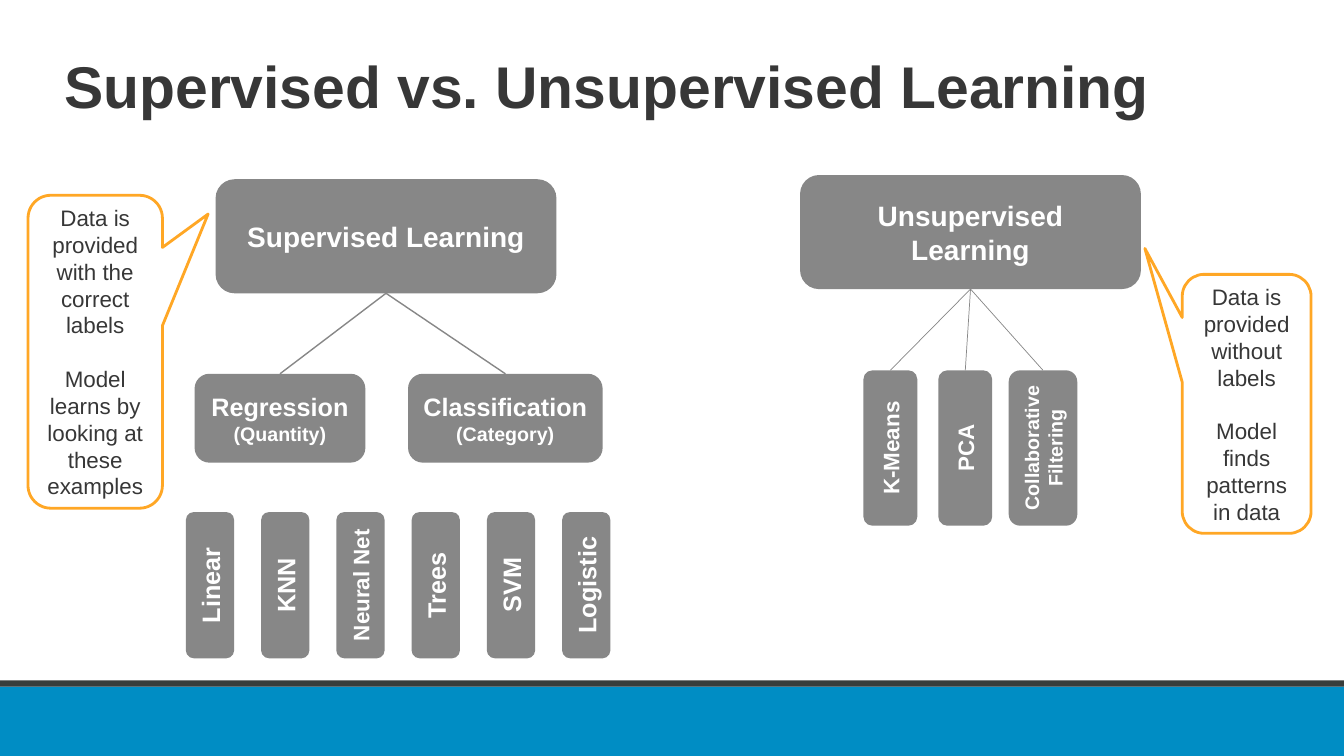
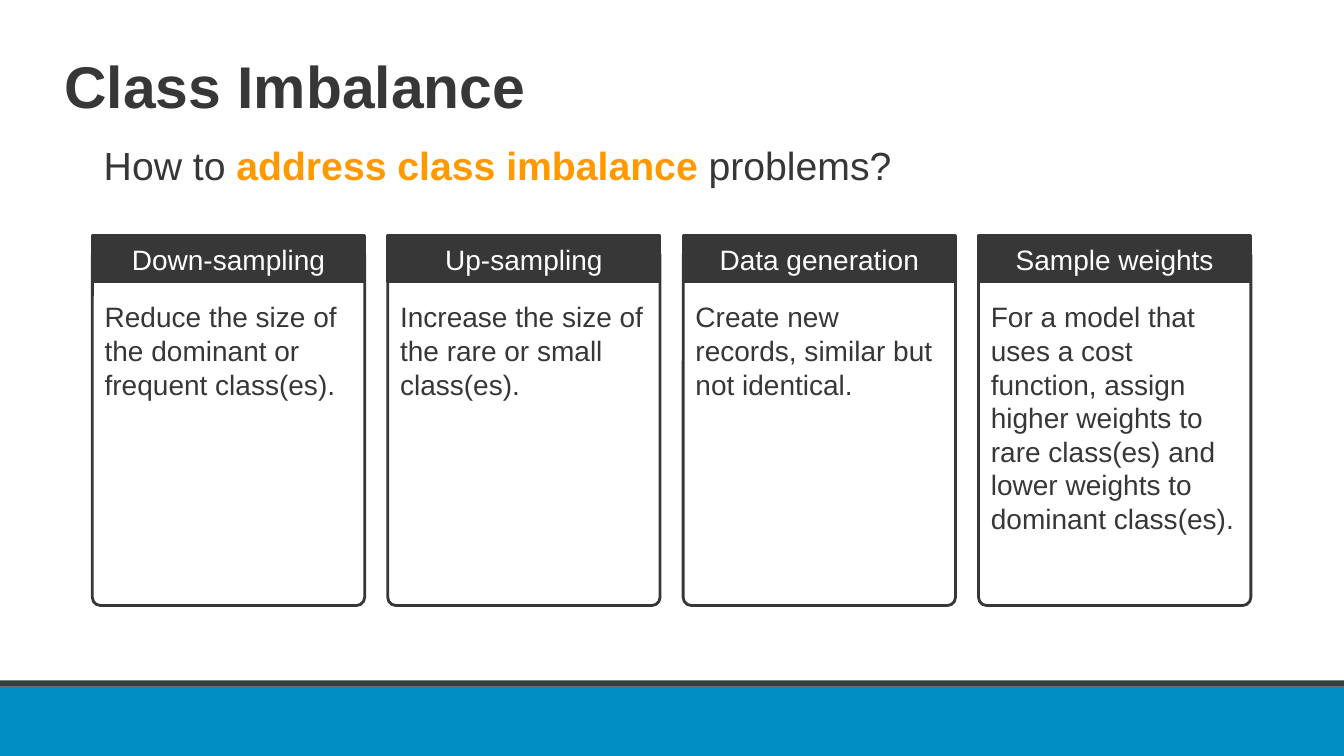
import pptx
import pptx.util
import pptx.dml.color
import pptx.enum.shapes
import pptx.enum.text
import pptx.oxml

Pt = pptx.util.Pt
SHAPE = pptx.enum.shapes.MSO_SHAPE
ALIGN = pptx.enum.text.PP_ALIGN
ANCHOR = pptx.enum.text.MSO_ANCHOR

COLORS = {
    "ink": "373737",
    "rule": "383D3B",
    "footer": "008DC4",
    "node": "878787",
    "callout": "FFA725",
    "accent": "FF9900",
    "white": "FFFFFF",
}
FONT = "Arial"
WIDTH, HEIGHT = 960, 540
BANDS = [("footer", 490.5, 49.5), ("rule", 486, 4.5)]

LEARNING_TITLE = "Supervised vs. Unsupervised Learning"
SUPERVISED = ("Supervised Learning", (154, 128, 243.5, 81.5))
UNSUPERVISED = ("Unsupervised Learning", (571.5, 125, 243.5, 81.5))
TASKS = [
    ("Regression", "(Quantity)", (139, 267, 122, 63.5)),
    ("Classification", "(Category)", (291.5, 267, 139, 63.5)),
]
SUPERVISED_METHODS = [("Linear", 18), ("KNN", 18), ("Neural Net", 16),
                      ("Trees", 18), ("SVM", 18), ("Logistic", 18)]
METHOD_START, METHOD_STEP, METHOD_MIDDLE = 150, 53.75, 418
METHOD_LENGTH, METHOD_THICKNESS = 104.5, 34.5
UNSUPERVISED_METHODS = [
    ("K-Means", 16, 636, 38.5),
    ("PCA", 16, 689.5, 38.5),
    ("Collaborative Filtering", 14, 745, 49),
]
PATTERN_MIDDLE, PATTERN_LENGTH = 320, 111
CALLOUTS = [
    (["Data is provided with the correct labels",
      "Model learns by looking at these examples"],
     (20, 139.5, 96, 223.5), (0.84, -0.44, 0.17)),
    (["Data is provided without labels", "Model finds patterns in data"],
     (844.5, 196, 92, 185), (-0.79, -0.6, 0.17)),
]

IMBALANCE_TITLE = "Class Imbalance"
QUESTION = [
    ("How to ", "ink", False),
    ("address class imbalance ", "accent", True),
    ("problems?", "ink", False),
]
REMEDIES = [
    ("Down-sampling", "Reduce the size of the dominant or frequent class(es)."),
    ("Up-sampling", "Increase the size of the rare or small class(es)."),
    ("Data generation", "Create new records, similar but not identical."),
    ("Sample weights",
     "For a model that uses a cost function, assign higher weights to rare "
     "class(es) and lower weights to dominant class(es)."),
]
CARD_LEFT, CARD_STEP, CARD_WIDTH = 66, 211, 194.5


def rgb(color):
    return pptx.dml.color.RGBColor.from_string(COLORS[color])


def points(values):
    return [Pt(value) for value in values]


def write(paragraph, text, size, color, bold=False):
    run = paragraph.add_run()
    run.text = text
    run.font.name = FONT
    run.font.size = Pt(size)
    run.font.bold = bold
    run.font.color.rgb = rgb(color)


def write_lines(frame, lines, color, bold=False, align=ALIGN.CENTER, gap=0):
    for index, (text, size) in enumerate(lines):
        paragraph = frame.paragraphs[0] if index == 0 else frame.add_paragraph()
        paragraph.alignment = align
        if index and gap:
            paragraph.space_before = Pt(gap)
        write(paragraph, text, size, color, bold)


def add_block(shapes, kind, box, fill, line=None, adjustments=()):
    block = shapes.add_shape(kind, *points(box))
    block.shadow.inherit = False
    block.fill.solid()
    block.fill.fore_color.rgb = rgb(fill)
    if line:
        block.line.color.rgb = rgb(line)
        block.line.width = Pt(2)
    else:
        block.line.fill.background()
    for index, value in enumerate(adjustments):
        block.adjustments[index] = value
    block.text_frame.word_wrap = True
    block.text_frame.vertical_anchor = ANCHOR.MIDDLE
    return block


def add_node(slide, lines, box):
    node = add_block(slide.shapes, SHAPE.ROUNDED_RECTANGLE, box, "node")
    write_lines(node.text_frame, lines, "white", bold=True)
    return node


def add_upright_node(slide, text, size, center, middle, length, thickness):
    box = (center - length / 2, middle - thickness / 2, length, thickness)
    node = add_node(slide, [(text, size)], box)
    node.rotation = 270
    return node


def add_branch(slide, parent, child, site, end, width):
    x, y = points(end)
    branch = slide.shapes.add_connector(
        pptx.enum.shapes.MSO_CONNECTOR.STRAIGHT, 0, 0, x, y)
    branch.begin_connect(parent, 2)
    branch.end_connect(child, site)
    branch.end_x, branch.end_y = x, y
    branch.line.color.rgb = rgb("node")
    branch.line.width = Pt(width)
    properties = branch.element.spPr
    properties.append(pptx.oxml.parse_xml(
        '<a:effectLst xmlns:a="http://schemas.openxmlformats.org/drawingml/2006/main"/>'))


def add_line_of_text(slide, box, runs, size):
    frame = slide.shapes.add_textbox(*points(box)).text_frame
    frame.word_wrap = True
    paragraph = frame.paragraphs[0]
    paragraph.line_spacing = 0.9
    for text, color, bold in runs:
        write(paragraph, text, size, color, bold)


def add_titled_slide(deck, title):
    slide = deck.slides.add_slide(deck.slide_layouts[6])
    for color, top, height in BANDS:
        add_block(slide.shapes, SHAPE.RECTANGLE, (0, top, WIDTH, height), color)
    add_line_of_text(slide, (39, 37.5, 828, 52), [(title, "ink", True)], 42)
    return slide


def build_learning(deck):
    slide = add_titled_slide(deck, LEARNING_TITLE)
    supervised, unsupervised = [
        add_node(slide, [(text, 20)], box) for text, box in (SUPERVISED, UNSUPERVISED)]

    for task, target, box in TASKS:
        node = add_node(slide, [(task, 18), (target, 14)], box)
        left, top, width, _ = box
        add_branch(slide, supervised, node, 0, (left + width / 2, top), 1)

    for index, (method, size) in enumerate(SUPERVISED_METHODS):
        add_upright_node(slide, method, size, METHOD_START + index * METHOD_STEP,
                         METHOD_MIDDLE, METHOD_LENGTH, METHOD_THICKNESS)

    for method, size, center, thickness in UNSUPERVISED_METHODS:
        node = add_upright_node(slide, method, size, center, PATTERN_MIDDLE,
                                PATTERN_LENGTH, thickness)
        top = PATTERN_MIDDLE - PATTERN_LENGTH / 2
        add_branch(slide, unsupervised, node, 3, (center, top), 0.5)

    for remarks, box, tail in CALLOUTS:
        callout = add_block(slide.shapes, SHAPE.ROUNDED_RECTANGULAR_CALLOUT, box,
                            "white", "callout", tail)
        write_lines(callout.text_frame, [(remark, 16) for remark in remarks],
                    "ink", gap=19)


def build_imbalance(deck):
    slide = add_titled_slide(deck, IMBALANCE_TITLE)
    add_line_of_text(slide, (67, 101.5, 854, 40), QUESTION, 28)
    for index, (remedy, explanation) in enumerate(REMEDIES):
        left = CARD_LEFT + index * CARD_STEP
        card = slide.shapes.add_group_shape()
        body = add_block(card.shapes, SHAPE.ROUNDED_RECTANGLE,
                         (left, 176.5, CARD_WIDTH, 256), "white", "ink", [0.03])
        body.text_frame.vertical_anchor = ANCHOR.TOP
        body.text_frame.margin_top = Pt(36)
        write_lines(body.text_frame, [(explanation, 20)], "ink", align=ALIGN.LEFT)
        header = add_block(card.shapes, SHAPE.RECTANGLE,
                           (left, 168.5, CARD_WIDTH, 33), "ink", "ink")
        write_lines(header.text_frame, [(remedy, 20)], "white")


def main():
    deck = pptx.Presentation()
    deck.slide_width, deck.slide_height = Pt(WIDTH), Pt(HEIGHT)
    build_learning(deck)
    build_imbalance(deck)
    deck.save("out.pptx")


if __name__ == "__main__":
    main()
